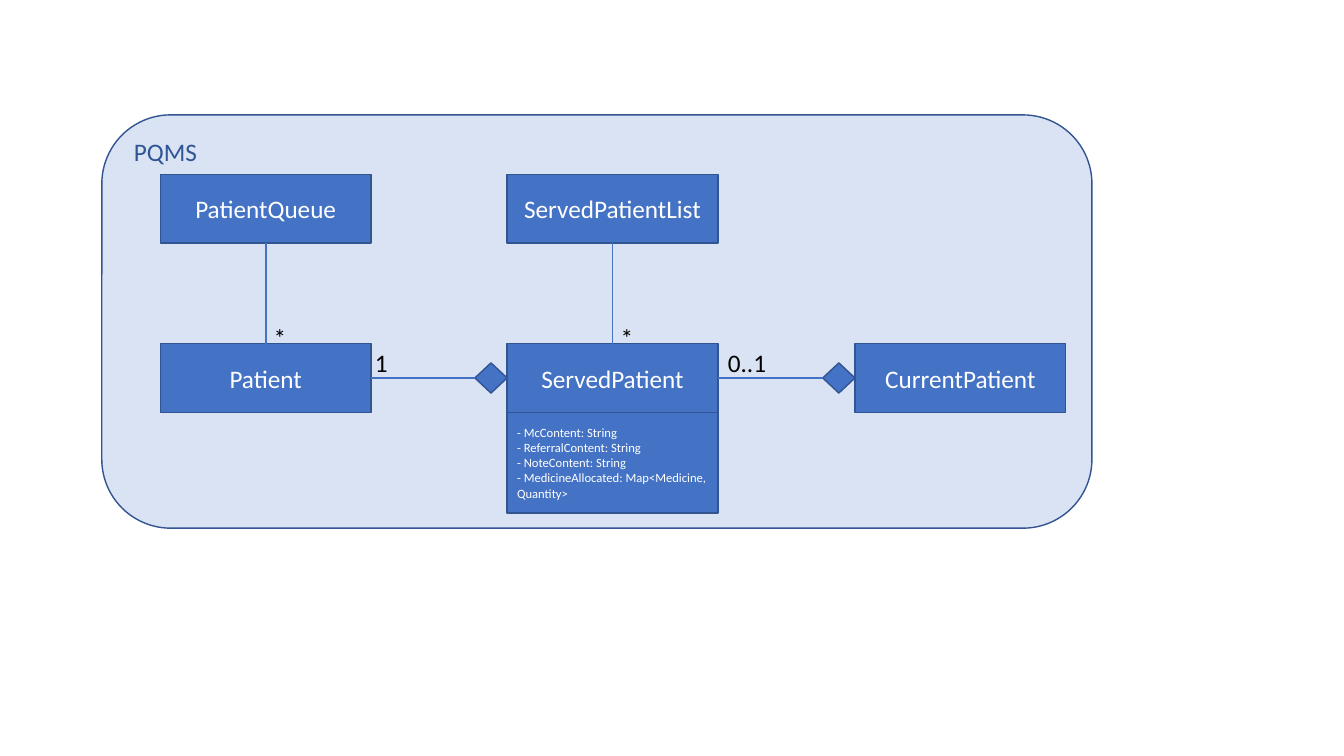
from lxml import etree
from pptx import Presentation
from pptx import util as u
from pptx.dml.color import RGBColor
from pptx.enum import shapes, text
from pptx.oxml.ns import qn

BLUE, EDGE, PANEL = "4472C4", "325491", "DAE3F3"
WHITE, BLACK, TITLE = "FFFFFF", "000000", "2F5597"
BOX_W, BOX_H = 2.09, 0.68
DIAMOND_W, DIAMOND_H = 0.32, 0.3
COLUMNS = [1.59, 5.03, 8.48]
TOP_ROW, BOTTOM_ROW = 1.73, 3.41


def color(value):
    """Turn a hex string into a colour."""
    return RGBColor.from_string(value)


def write(box, lines, size, ink, align):
    """Fill a shape with paragraphs of one style."""
    frame = box.text_frame
    for index, line in enumerate(lines):
        para = frame.paragraphs[0] if index == 0 else frame.add_paragraph()
        para.text = line
        para.alignment = align
        para.font.name = "Calibri"
        para.font.size = u.Pt(size)
        para.font.color.rgb = color(ink)


def add_block(page, kind, left, top, width, height, fill=BLUE):
    """Draw a filled, outlined shape."""
    block = page.shapes.add_shape(kind, *map(u.Inches, (left, top, width, height)))
    block.shadow.inherit = False
    block.fill.solid()
    block.fill.fore_color.rgb = color(fill)
    block.line.color.rgb = color(EDGE)
    block.line.width = u.Pt(1)
    return block


def add_class(page, left, top, name, fields=()):
    """Draw a class box with an optional field compartment below it."""
    kind = shapes.MSO_SHAPE.RECTANGLE
    head = add_block(page, kind, left, top, BOX_W, BOX_H)
    head.text_frame.vertical_anchor = text.MSO_ANCHOR.MIDDLE
    write(head, [name], 18, WHITE, text.PP_ALIGN.CENTER)
    if fields:
        body = add_block(page, kind, left, top + BOX_H, BOX_W, 1)
        body.text_frame.vertical_anchor = text.MSO_ANCHOR.MIDDLE
        write(body, fields, 9, WHITE, text.PP_ALIGN.LEFT)


def add_label(page, left, top, width, words, ink=BLACK, side=0.1):
    """Place a line of text with the given side margins."""
    label = page.shapes.add_textbox(*map(u.Inches, (left, top, width, 0.4)))
    frame = label.text_frame
    frame.word_wrap = True
    frame.margin_left = frame.margin_right = u.Inches(side)
    write(label, [words], 18, ink, text.PP_ALIGN.LEFT)


def add_link(page, x1, y1, x2, y2):
    """Draw a plain association line."""
    link = page.shapes.add_connector(
        shapes.MSO_CONNECTOR.STRAIGHT, *map(u.Inches, (x1, y1, x2, y2)))
    link.line.color.rgb = color(BLUE)
    link.line.width = u.Pt(1.25)
    etree.SubElement(link._element.spPr, qn("a:effectLst"))


def add_many(page, left):
    """Link the upper class of a column to many of the lower one."""
    middle = left + BOX_W / 2
    add_link(page, middle, TOP_ROW + BOX_H, middle, BOTTOM_ROW)
    add_label(page, middle + 0.08, 3.15, 0.13, "*", side=0)


def add_composition(page, part, whole, count, offset):
    """Link a part class to the diamond of its whole."""
    start, tip = part + BOX_W, whole - DIAMOND_W
    middle = BOTTOM_ROW + BOX_H / 2
    add_block(page, shapes.MSO_SHAPE.DIAMOND, tip, middle - DIAMOND_H / 2,
              DIAMOND_W, DIAMOND_H)
    add_link(page, start, middle, tip, middle)
    add_label(page, start + offset, 3.4, 0.71, count)


def add_diagram(page, left, top, width, height):
    """Draw the system panel with its classes and relations."""
    add_block(page, shapes.MSO_SHAPE.ROUNDED_RECTANGLE, left, top, width, height, PANEL)
    add_label(page, left + 0.22, top + 0.16, 0.88, "PQMS", TITLE)
    queue, served, current = COLUMNS
    add_class(page, queue, TOP_ROW, "PatientQueue")
    add_class(page, served, TOP_ROW, "ServedPatientList")
    add_class(page, queue, BOTTOM_ROW, "Patient")
    add_class(page, served, BOTTOM_ROW, "ServedPatient", [
        "- McContent: String",
        "- ReferralContent: String",
        "- NoteContent: String",
        "- MedicineAllocated: Map<Medicine, Quantity>",
    ])
    add_class(page, current, BOTTOM_ROW, "CurrentPatient")
    add_many(page, queue)
    add_many(page, served)
    add_composition(page, queue, served, "1", -0.06)
    add_composition(page, served, current, "0..1", 0)


def main():
    """Build and save the deck."""
    deck = Presentation()
    deck.slide_width, deck.slide_height = u.Inches(13.33), u.Inches(7.5)
    page = deck.slides.add_slide(deck.slide_layouts[6])
    add_diagram(page, 1.01, 1.14, 9.82, 4.1)
    deck.save("out.pptx")


if __name__ == "__main__":
    main()
